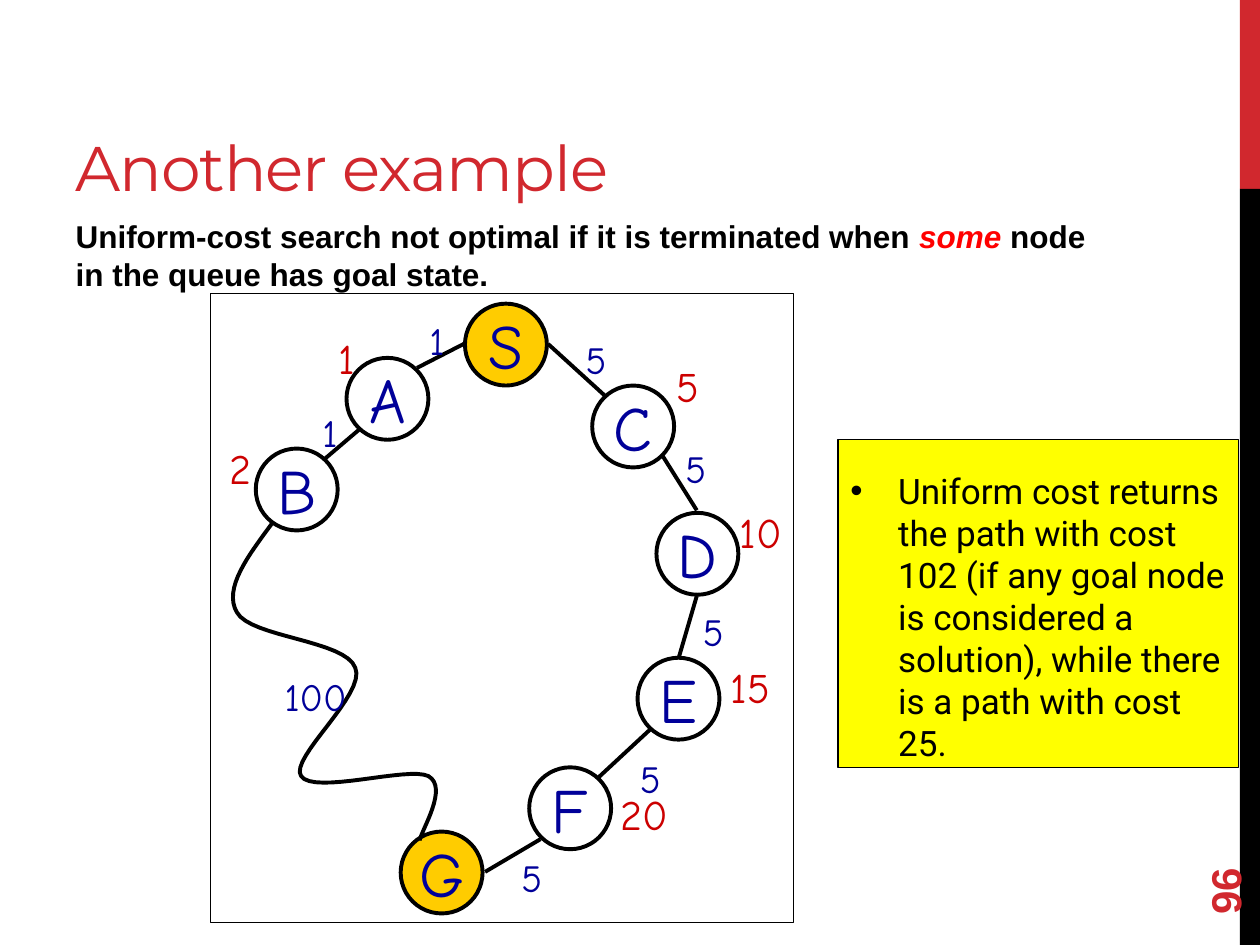
from dataclasses import dataclass

import pptx
import pptx.util
from lxml import etree
from pptx.dml.color import RGBColor
from pptx.enum.shapes import MSO_CONNECTOR, MSO_SHAPE
from pptx.enum.text import MSO_ANCHOR, MSO_AUTO_SIZE, PP_ALIGN
from pptx.oxml.ns import qn

COLORS = {
    "red": "D1282E", "black": "000000", "white": "FFFFFF", "gold": "FFCC00",
    "navy": "000099", "total": "CC0000", "accent": "FF0000", "yellow": "FFFF00",
}
Point = tuple[float, float]

# The slide is a grid of 100 columns by 75 rows of square cells.
deck = pptx.Presentation()
deck.slide_width = pptx.util.Inches(10)
deck.slide_height = pptx.util.Inches(7.5)
CELL = deck.slide_width / 100
NODE_SIZE = 6.5


@dataclass
class Node:
    name: str
    left: float
    top: float
    fill: str = "white"


@dataclass
class Edge:
    start: Point
    end: Point


@dataclass
class Cost:
    value: str
    left: float
    top: float
    size: int = 22
    color: str = "navy"


@dataclass
class Total(Cost):
    size: int = 24
    color: str = "total"


NODES = [
    Node("S", 36.9, 24.1, "gold"), Node("A", 27.5, 28.4), Node("B", 20.3, 35.6),
    Node("C", 47, 30.6), Node("D", 52.1, 40.7), Node("E", 50.6, 52.2),
    Node("F", 42, 60.9), Node("G", 31.8, 66, "gold"),
]
EDGES = [
    Edge((36.8, 27.3), (33.1, 29.2)), Edge((28.5, 34.1), (25.8, 36.4)),
    Edge((43.5, 27.3), (48, 31.4)), Edge((52.6, 36.2), (55.3, 40.5)),
    Edge((55.3, 47.3), (53.9, 52.1)), Edge((51.6, 57.9), (47.5, 61.7)),
    Edge((42.9, 66.6), (38.5, 69.2)),
]
COSTS = [
    Cost("1", 33.1, 24.7), Cost("1", 24.6, 32), Cost("100", 21.6, 52.9),
    Cost("5", 45.5, 26.2), Cost("5", 53.4, 34.8), Cost("5", 54.8, 47.8),
    Cost("5", 49.8, 59.4), Cost("5", 40.4, 67.3),
    Total("1", 25.9, 25.9), Total("2", 17.2, 34.6), Total("5", 52.7, 28.1),
    Total("10", 57.7, 39.7), Total("15", 57, 52), Total("20", 48.3, 62.1),
]
# Bezier curves of the long way from B to G: two controls and an end each.
DETOUR_START = (21.7, 41.4)
DETOUR = [
    ((19.7, 44.1), (17.7, 46.7), (18.8, 48.6)),
    ((19.9, 50.6), (27.4, 50.8), (28.2, 53)),
    ((29.1, 55.1), (22.9, 60.2), (23.9, 61.6)),
    ((24.9, 63.1), (32.4, 60.8), (34, 61.6)),
    ((35.6, 62.5), (33.5, 65.8), (33.3, 66.7)),
]


def cells(*counts: float) -> list[int]:
    return [round(count * CELL) for count in counts]


def rgb(name: str) -> RGBColor:
    return RGBColor.from_string(COLORS[name])


def write(paragraph, text: str, *, font: str, size: float, color: str = "black",
          bold: bool = False, italic: bool = False, spacing: int = 0) -> None:
    """Append one formatted run; spacing is in hundredths of a point."""
    run = paragraph.add_run()
    run.text = text
    run.font.name = font
    run.font.size = pptx.util.Pt(size)
    run.font.bold = bold
    run.font.italic = italic
    run.font.color.rgb = rgb(color)
    if spacing:
        run.font._element.set("spc", str(spacing))


def set_bullet(paragraph, character: str = "", indent: float = 0) -> None:
    """Set a hanging bullet, or none when no character is given."""
    properties = paragraph._p.get_or_add_pPr()
    margin, = cells(indent)
    properties.set("marL", str(margin))
    properties.set("indent", str(-margin))
    if character:
        etree.SubElement(properties, qn("a:buFont")).set("typeface", "Arial")
        etree.SubElement(properties, qn("a:buChar")).set("char", character)
    else:
        etree.SubElement(properties, qn("a:buNone"))


def add_block(shapes, kind, box: tuple, fill: str, outline: float = 0):
    block = shapes.add_shape(kind, *cells(*box))
    block.shadow.inherit = False
    block.fill.solid()
    block.fill.fore_color.rgb = rgb(fill)
    if outline:
        block.line.color.rgb = rgb("black")
        block.line.width = pptx.util.Pt(outline)
    else:
        block.line.fill.background()
    return block


def add_node(shapes, node: Node) -> None:
    circle = add_block(shapes, MSO_SHAPE.OVAL,
                       (node.left, node.top, NODE_SIZE, NODE_SIZE), node.fill, 2.25)
    frame = circle.text_frame
    frame.word_wrap = False
    frame.vertical_anchor = MSO_ANCHOR.MIDDLE
    frame.paragraphs[0].alignment = PP_ALIGN.CENTER
    write(frame.paragraphs[0], node.name, font="Comic Neue", size=36, color="navy")


def add_edge(shapes, edge: Edge) -> None:
    line = shapes.add_connector(MSO_CONNECTOR.STRAIGHT,
                                *cells(*edge.start, *edge.end))
    line.line.color.rgb = rgb("black")
    line.line.width = pptx.util.Pt(2.25)
    etree.SubElement(line._element.spPr, qn("a:effectLst"))


def add_cost(shapes, cost: Cost) -> None:
    """Add a label whose box fits its digits, a 1 being narrower than the rest."""
    advance = sum(0.06 if digit == "1" else 0.09 for digit in cost.value)
    box = shapes.add_textbox(*cells(cost.left, cost.top, 2 + advance * cost.size,
                                    1 + cost.size / 6))
    box.text_frame.word_wrap = False
    box.text_frame.auto_size = MSO_AUTO_SIZE.SHAPE_TO_FIT_TEXT
    write(box.text_frame.paragraphs[0], cost.value, font="Comic Neue",
          size=cost.size, color=cost.color)


def add_detour(shapes, steps: int = 16) -> None:
    points, start = [], DETOUR_START
    for first, second, end in DETOUR:
        for step in range(1, steps + 1):
            t = step / steps
            weights = ((1 - t) ** 3, 3 * t * (1 - t) ** 2, 3 * t * t * (1 - t), t ** 3)
            points.append(cells(*(
                sum(weight * value for weight, value in zip(weights, axis))
                for axis in zip(start, first, second, end))))
        start = end
    builder = shapes.build_freeform(*cells(*DETOUR_START), scale=1.0)
    builder.add_line_segments(points, close=False)
    curve = builder.convert_to_shape()
    curve.shadow.inherit = False
    curve.fill.background()
    curve.line.color.rgb = rgb("black")
    curve.line.width = pptx.util.Pt(2.25)


def place(placeholder, box: tuple, anchor: MSO_ANCHOR):
    """Move a placeholder and return its first paragraph, left-aligned."""
    (placeholder.left, placeholder.top,
     placeholder.width, placeholder.height) = cells(*box)
    frame = placeholder.text_frame
    frame.word_wrap = True
    frame.auto_size = MSO_AUTO_SIZE.NONE
    frame.vertical_anchor = anchor
    frame.paragraphs[0].alignment = PP_ALIGN.LEFT
    return frame.paragraphs[0]


def main() -> None:
    slide = deck.slides.add_slide(deck.slide_layouts[1])
    add_block(slide.shapes, MSO_SHAPE.RECTANGLE, (98.4, 0, 1.6, 15), "red")
    add_block(slide.shapes, MSO_SHAPE.RECTANGLE, (98.4, 15, 1.6, 60), "black")

    title = place(slide.shapes.title, (5, 1.7, 63.3, 15), MSO_ANCHOR.BOTTOM)
    write(title, "Another example", font="Montserrat", size=36, color="red", spacing=-60)

    claim = place(slide.placeholders[1], (5, 16.7, 83.3, 47.8), MSO_ANCHOR.TOP)
    set_bullet(claim)
    claim.space_before = pptx.util.Pt(0)
    claim.space_after = pptx.util.Pt(6)
    strong = {"font": "Arial", "size": 18, "bold": True}
    write(claim, "Uniform-cost search not optimal if it is terminated when ", **strong)
    write(claim, "some ", color="accent", italic=True, **strong)
    write(claim, "node in the queue has goal state.", **strong)

    page = slide.shapes.add_textbox(*cells(90, 64.4, 14.4, 4))
    page.rotation = 270
    page.text_frame.word_wrap = True
    page.text_frame.vertical_anchor = MSO_ANCHOR.MIDDLE
    write(page.text_frame.paragraphs[0], "96", font="Arial", size=24, color="red", bold=True)

    graph = slide.shapes.add_group_shape().shapes
    add_block(graph, MSO_SHAPE.RECTANGLE, (16.7, 23.3, 46.3, 49.9), "white", 0.75)
    for node in NODES:
        add_node(graph, node)
    add_detour(graph)
    for edge in EDGES:
        add_edge(graph, edge)
    for cost in COSTS:
        add_cost(graph, cost)

    add_block(slide.shapes, MSO_SHAPE.RECTANGLE, (66.5, 34.9, 31.8, 26), "yellow", 0.75)
    remark = slide.shapes.add_textbox(*cells(66.5, 36.8, 31.8, 22.4))
    remark.text_frame.word_wrap = True
    set_bullet(remark.text_frame.paragraphs[0], "•", 3.8)
    write(remark.text_frame.paragraphs[0],
          "Uniform cost returns the path with cost 102 (if any goal node is considered "
          "a solution), while there is a path with cost 25.", font="Roboto", size=20)

    deck.save("out.pptx")


if __name__ == "__main__":
    main()
